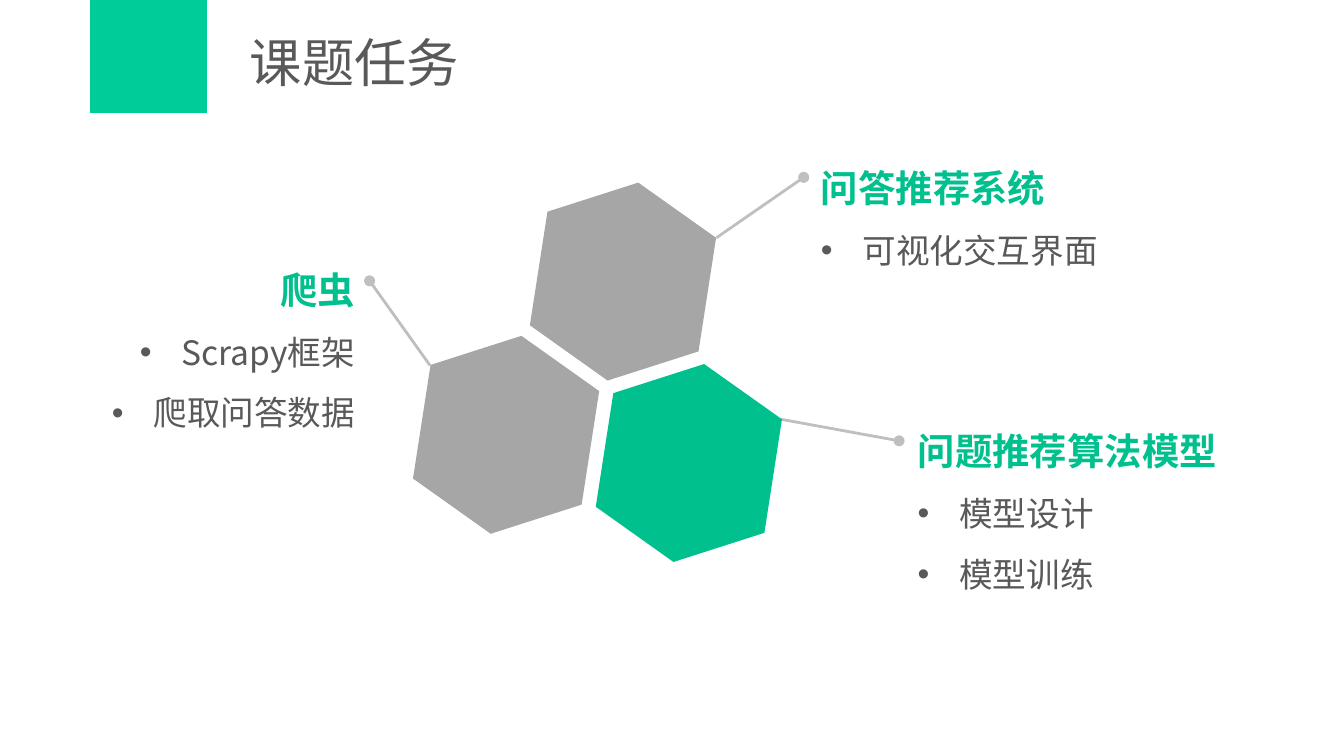
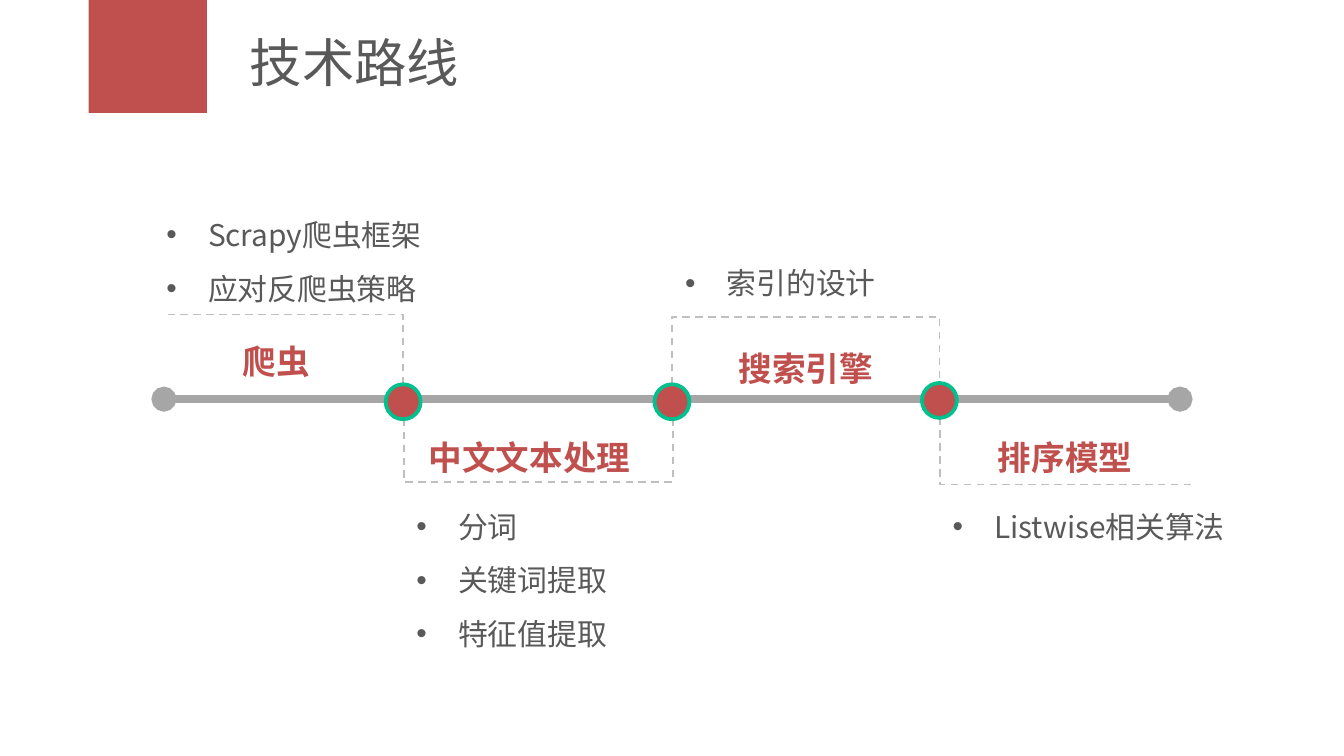
from dataclasses import dataclass

from lxml import etree
from pptx import Presentation
from pptx.dml.color import RGBColor
from pptx.enum.dml import MSO_LINE
from pptx.enum.shapes import MSO_CONNECTOR, MSO_SHAPE
from pptx.enum.text import MSO_ANCHOR, MSO_AUTO_SIZE, PP_ALIGN
from pptx.oxml.ns import qn
from pptx.util import Pt

STRAIGHT, ELBOW = MSO_CONNECTOR.STRAIGHT, MSO_CONNECTOR.ELBOW
RECTANGLE, HEXAGON, OVAL = MSO_SHAPE.RECTANGLE, MSO_SHAPE.HEXAGON, MSO_SHAPE.OVAL
LEFT, CENTER, RIGHT = PP_ALIGN.LEFT, PP_ALIGN.CENTER, PP_ALIGN.RIGHT
MIDDLE = MSO_ANCHOR.MIDDLE
FIT_SHAPE, NO_FIT = MSO_AUTO_SIZE.SHAPE_TO_FIT_TEXT, MSO_AUTO_SIZE.NONE
DASH = MSO_LINE.DASH

PX = 9144  # 100 px to the inch
TITLE_ONLY = 5


@dataclass(frozen=True)
class Theme:
    font: str = "Noto Sans CJK SC"
    band: str = "00CC99"
    green: str = "00C08E"
    red: str = "C0504D"
    text: str = "595959"
    gray: str = "A6A6A6"
    rule: str = "BFBFBF"
    title_size: int = 28
    heading_size: int = 20
    body_size: int = 18
    detail_size: int = 16
    indent: int = 31


theme = Theme()


def write_text(frame, lines, align=LEFT, spacing=1.5):
    """Each line is (text, size, colour, bold, bulleted)."""
    frame.text = "\n".join(line[0] for line in lines)
    for paragraph, (_, size, colour, bold, bulleted) in zip(frame.paragraphs, lines):
        paragraph.alignment = align
        paragraph.line_spacing = spacing
        font = paragraph.runs[0].font
        font.size, font.bold, font.name = Pt(size), bold, theme.font
        font.color.rgb = RGBColor.from_string(colour)
        etree.SubElement(font._element, qn("a:ea"), typeface=theme.font)
        if bulleted:
            props = paragraph._p.get_or_add_pPr()
            props.set("marL", str(theme.indent * PX))
            props.set("indent", str(-theme.indent * PX))
            etree.SubElement(props, qn("a:buFont"), typeface="Arial")
            etree.SubElement(props, qn("a:buChar"), char="•")


def draw_line(slide, kind, ends, colour, width, caps=()):
    connector = slide.shapes.add_connector(kind, *(v * PX for v in ends))
    connector.line.color.rgb = RGBColor.from_string(colour)
    connector.line.width = Pt(width)
    outline = connector.line._get_or_add_ln()
    for cap in caps:
        etree.SubElement(outline, qn(cap), type="oval")
    etree.SubElement(connector._element.spPr, qn("a:effectLst"))
    return connector


prs = Presentation()
prs.slide_width = 1000 * PX
prs.slide_height = prs.slide_width * 9 // 16

# Titles
slides = []
for heading in ("课题任务", "技术路线"):
    slide = prs.slides.add_slide(prs.slide_layouts[TITLE_ONLY])
    title = slide.shapes.title
    title.left, title.top, title.width, title.height = (v * PX for v in (176, 14, 789, 63))
    write_text(title.text_frame, [(heading, theme.title_size, theme.text, False, False)], spacing=1)
    title.text_frame.vertical_anchor = MIDDLE
    title.text_frame.auto_size = NO_FIT
    slides.append(slide)
tasks, route = slides

# Leaders from the hexagons and the timeline axis
for ends in ((581, 312, 669, 328), (533, 177, 598, 132), (320, 272, 275, 209)):
    draw_line(tasks, STRAIGHT, ends, theme.rule, 1.5, ["a:tailEnd"])
draw_line(route, STRAIGHT, (122, 297, 878, 297), theme.gray, 4.5, ["a:headEnd", "a:tailEnd"])

# Dashed brackets: ends before rotation, rotation, geometry, bend in percent of the width
brackets = [
    ((600, 385, 599, 186), 90, "bentConnector3", 5100),
    ((401, 212, 400, 412), 270, "bentConnector3", 4800),
    ((185, 349, 237, 171), 270, "bentConnector2", None),
    ((818, 242, 768, 429), 270, "bentConnector2", None),
]
for ends, rotation, geometry, bend in brackets:
    bracket = draw_line(route, ELBOW, ends, theme.rule, 1)
    bracket.line.dash_style = DASH
    props = bracket._element.spPr
    props.find(qn("a:xfrm")).set("rot", str(rotation * 60000))
    preset = props.find(qn("a:prstGeom"))
    preset.set("prst", geometry)
    if bend:
        guides = preset.find(qn("a:avLst"))
        etree.SubElement(guides, qn("a:gd"), name="adj1", fmla=f"val {bend * 1000}")

# Bands, hexagons and timeline nodes: box, rotation, fill, outline
solids = [
    (tasks, RECTANGLE, (67, 0, 87, 84), 0, theme.band, None),
    (route, RECTANGLE, (66, 0, 88, 84), 0, theme.red, None),
]
for left, top, fill in ((389, 146, theme.gray), (438, 281, theme.green), (302, 260, theme.gray)):
    solids.append((tasks, HEXAGON, (left, top, 149, 127), 98.8, fill, None))
for left, top in ((287, 286), (487, 286), (686, 285)):
    solids.append((route, OVAL, (left, top, 26, 26), 0, theme.red, theme.green))
for slide, preset, box, rotation, fill, outline in solids:
    solid = slide.shapes.add_shape(preset, *(v * PX for v in box))
    solid.rotation = rotation
    solid.shadow.inherit = False
    solid.fill.solid()
    solid.fill.fore_color.rgb = RGBColor.from_string(fill)
    if outline:
        solid.line.color.rgb = RGBColor.from_string(outline)
        solid.line.width = Pt(2)
    else:
        solid.line.fill.background()

# Texts: box, alignment, heading, heading size and colour, bullets, bullet size
task_texts = [
    ((601, 101, 268, 106), LEFT, "问答推荐系统", ["可视化交互界面"]),
    ((67, 177, 207, 151), RIGHT, "爬虫", ["Scrapy框架", "爬取问答数据"]),
    ((673, 297, 268, 151), LEFT, "问题推荐算法模型", ["模型设计", "模型训练"]),
]
step_details = [
    ((114, 143, 236, 91), ["Scrapy爬虫框架", "应对反爬虫策略"]),
    ((300, 360, 236, 131), ["分词", "关键词提取", "特征值提取"]),
    ((500, 179, 236, 50), ["索引的设计"]),
    ((699, 360, 236, 50), ["Listwise相关算法"]),
]
step_names = [
    ((170, 234, 71, 50), "爬虫"),
    ((308, 305, 172, 50), "中文文本处理"),
    ((539, 239, 121, 50), "搜索引擎"),
    ((732, 305, 121, 50), "排序模型"),
]
texts = []
for box, align, heading, points in task_texts:
    lines = [(heading, theme.heading_size, theme.green, True, False)]
    lines += [(point, theme.body_size, theme.text, False, True) for point in points]
    texts.append((tasks, box, align, True, lines))
for box, points in step_details:
    lines = [(point, theme.detail_size, theme.text, False, True) for point in points]
    texts.append((route, box, LEFT, True, lines))
for box, name in step_names:
    lines = [(name, theme.body_size, theme.red, True, False)]
    texts.append((route, box, CENTER, False, lines))
for slide, box, align, wrap, lines in texts:
    frame = slide.shapes.add_textbox(*(v * PX for v in box)).text_frame
    frame.word_wrap = wrap
    frame.auto_size = FIT_SHAPE
    write_text(frame, lines, align)

prs.save("out.pptx")
